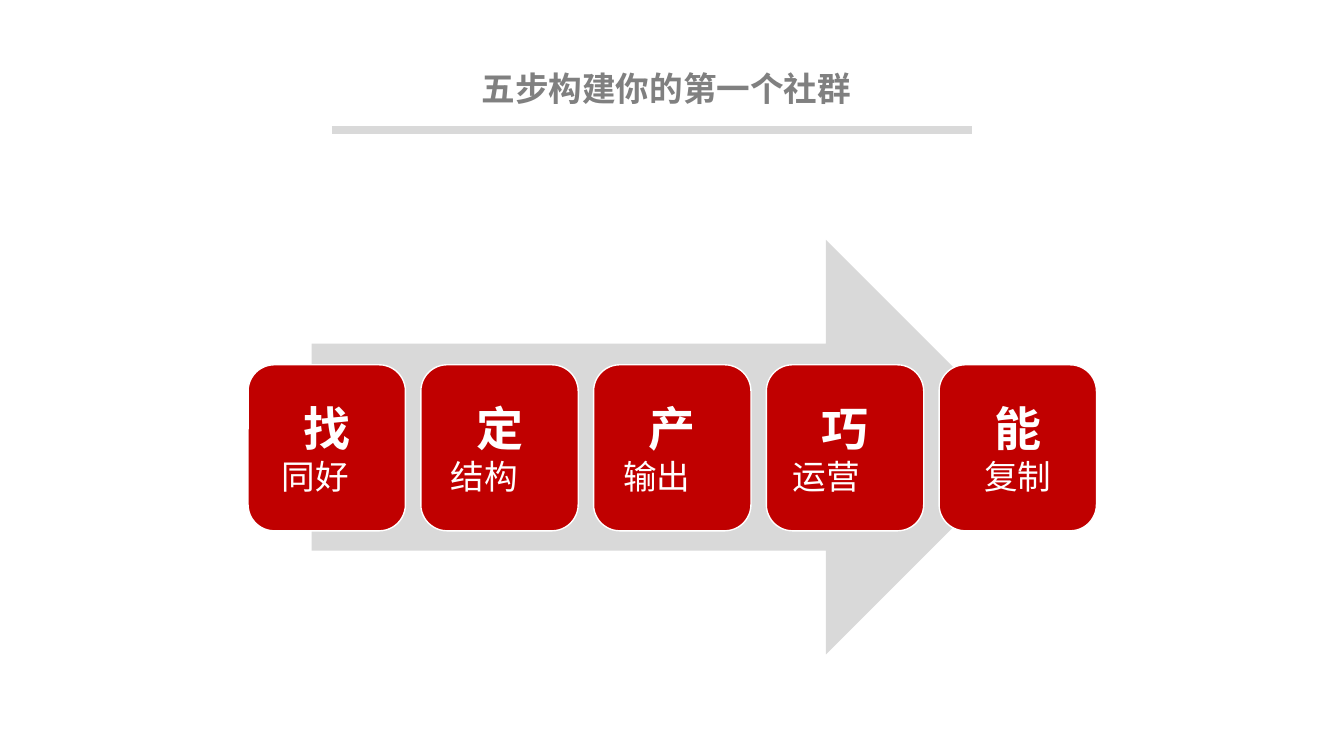
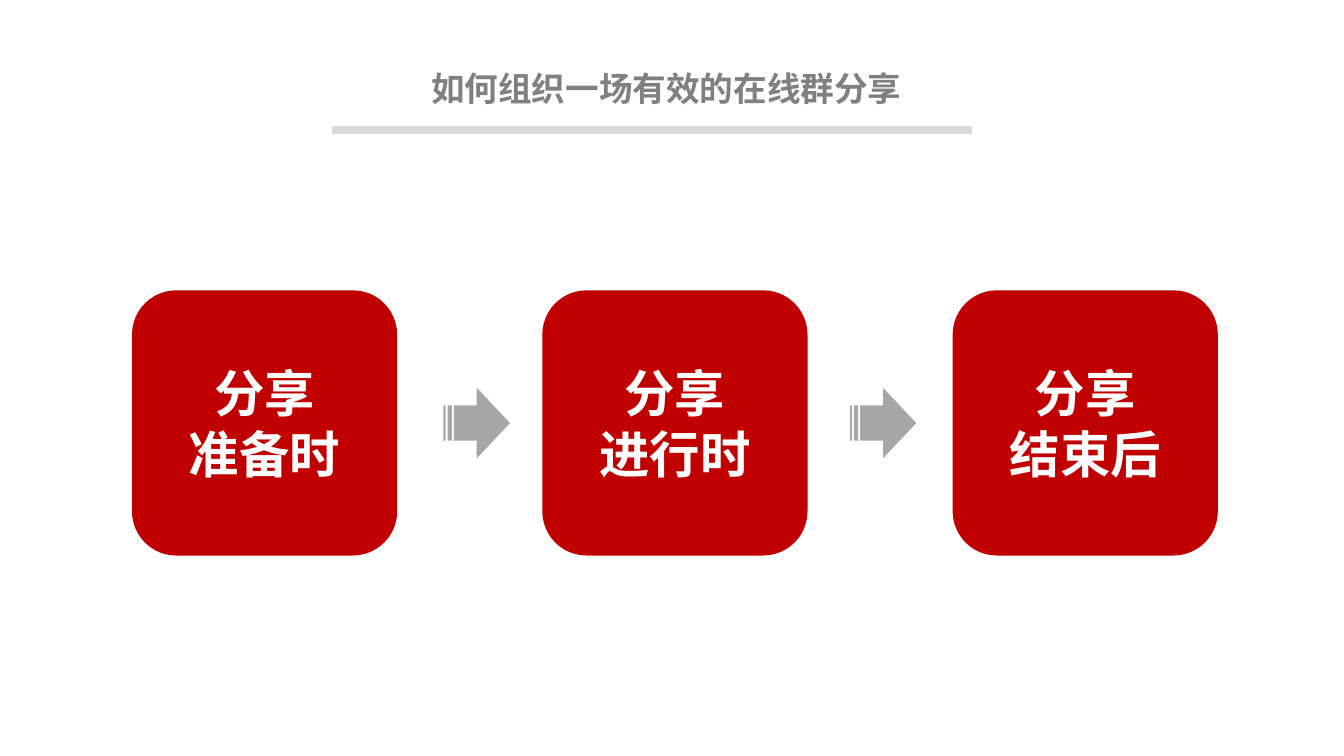
"""Builds two slides on community building: a five-step arrow and a three-stage flow."""
from pptx import Presentation
from pptx.dml.color import RGBColor
from pptx.enum import shapes, text
from pptx.oxml import xmlchemy
from pptx.oxml.ns import qn
from pptx.util import Pt

COLORS = {"red": "C00000", "light": "D9D9D9", "mid": "A6A6A6", "title": "808080", "white": "FFFFFF"}
FONT = "Noto Sans CJK SC"
SHAPE = shapes.MSO_SHAPE


class Deck:
    """Holds the shared style and the slide being built."""

    def __init__(self):
        self.prs = Presentation()
        self.prs.slide_width, self.prs.slide_height = Pt(960), Pt(540)
        self.s = None

    def color(self, name):
        """Return a named colour."""
        return RGBColor.from_string(COLORS[name])

    def format(self, p, size, color, bold=True):
        """Centre a paragraph and format its runs."""
        p.alignment = text.PP_ALIGN.CENTER
        for r in p.runs:
            r.font.size, r.font.bold, r.font.name = Pt(size), bold, FONT
            r.font.color.rgb = self.color(color)
            r.font._element.get_or_add_latin().addnext(
                xmlchemy.OxmlElement("a:ea"))
            r.font._element.find(qn("a:ea")).set("typeface", FONT)

    def slide(self, title):
        """Add a slide with its title and rule."""
        self.s = self.prs.slides.add_slide(self.prs.slide_layouts[5])
        sp = self.s.shapes.title
        sp.left, sp.top, sp.width, sp.height = Pt(102), Pt(44.6), Pt(748), Pt(36)
        tf = sp.text_frame
        tf.text = title
        tf.auto_size = text.MSO_AUTO_SIZE.NONE
        tf.vertical_anchor = text.MSO_ANCHOR.TOP
        self.format(tf.paragraphs[0], 24, "title")
        rule = self.s.shapes.add_connector(
            shapes.MSO_CONNECTOR.STRAIGHT, Pt(237), Pt(93), Pt(694), Pt(93))
        rule.line.color.rgb, rule.line.width = self.color("light"), Pt(6)
        rule._element.spPr.append(xmlchemy.OxmlElement("a:effectLst"))

    def shape(self, kind, x, y, w, h, fill):
        """Add a flat preset shape."""
        sp = self.s.shapes.add_shape(kind, Pt(x), Pt(y), Pt(w), Pt(h))
        sp.shadow.inherit = False
        sp.fill.solid()
        sp.fill.fore_color.rgb = self.color(fill)
        sp.line.fill.background()
        return sp

    def card(self, x, y, w, h, lines, sizes, bolds):
        """Add a red card with two centred lines."""
        sp = self.shape(SHAPE.ROUNDED_RECTANGLE, x, y, w, h, "red")
        tf = sp.text_frame
        tf.word_wrap = True
        tf.vertical_anchor = text.MSO_ANCHOR.MIDDLE
        tf.text = "\n".join(lines)
        for p, size, bold in zip(tf.paragraphs, sizes, bolds):
            self.format(p, size, "white", bold)
        return sp

    def step(self, x, head, label, shift):
        """Add an outlined step whose label sits left of centre."""
        sp = self.card(x, 260.6, 112.4, 118.6, (head, label), (33.6, 24), (True, False))
        sp.line.color.rgb, sp.line.width = self.color("white"), Pt(1)
        tf = sp.text_frame
        tf.margin_left = tf.margin_top = tf.margin_bottom = Pt(10)
        tf.margin_right = Pt(10 + shift)
        tf.paragraphs[0]._p.get_or_add_pPr().set("marL", str(Pt(shift)))


def main():
    """Build and save both slides."""
    deck = Deck()

    deck.slide("五步构建你的第一个社群")
    deck.shape(SHAPE.RIGHT_ARROW, 222.6, 171.4, 515.4, 296, "light")
    steps = [("找", "同好", 16), ("定", "结构", 22), ("产", "输出", 22),
             ("巧", "运营", 27), ("能", "复制", 0)]
    for i, (head, label, shift) in enumerate(steps):
        deck.step(177.2 + 123.4 * i, head, label, shift)

    deck.slide("如何组织一场有效的在线群分享")
    for i, stage in enumerate(("准备时", "进行时", "结束后")):
        deck.card(94.3 + 293.1 * i, 207.4, 189.4, 189.4, ("分享", stage), (36, 36), (True, True))
    for i in range(2):
        deck.shape(SHAPE.STRIPED_RIGHT_ARROW, 316.8 + 290.2 * i, 277, 47.5, 50.4, "mid")

    deck.prs.save("out.pptx")


if __name__ == "__main__":
    main()
